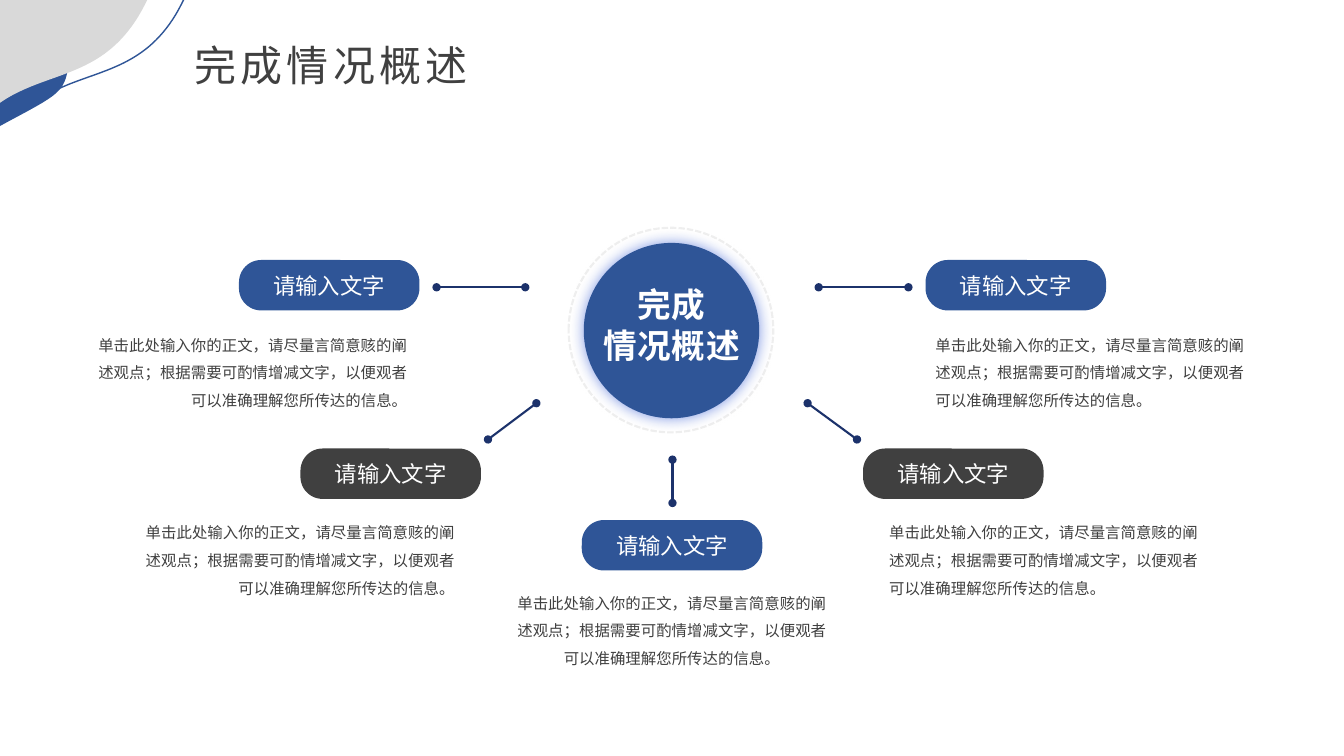
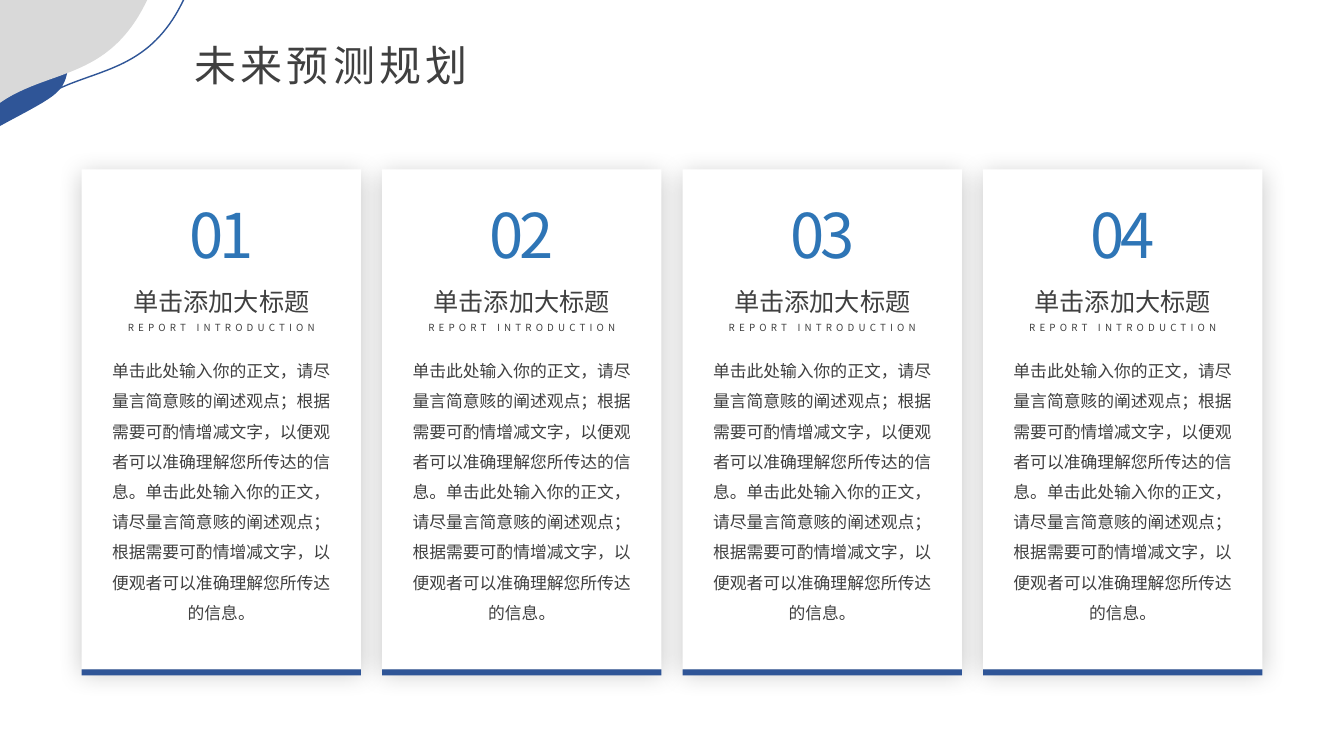
import lxml.etree
import pptx
import pptx.dml.color
import pptx.enum.dml
import pptx.enum.shapes
import pptx.enum.text
import pptx.util
from pptx.oxml.ns import qn

# Shared look
PX = 9144  # one px is a hundredth of an inch
FONT = "Noto Sans CJK SC"
BLUE, NAVY, SKY = "2F5597", "1C326B", "2E75B6"
INK, SILVER, WHITE = "404040", "D9D9D9", "FFFFFF"

SHAPE = pptx.enum.shapes.MSO_SHAPE
ALIGN = pptx.enum.text.PP_ALIGN
ANCHOR = pptx.enum.text.MSO_ANCHOR

# Wording
BODY = ("单击此处输入你的正文，请尽量言简意赅的阐述观点；"
        "根据需要可酌情增减文字，以便观者可以准确理解您所传达的信息。")
PROMPT = "请输入文字"

# Branches of the overview: pill corner, note corner, line ends, pill colour, note alignment
BRANCHES = [
    ((237, 258), (87, 319), (433, 285, 521, 285), BLUE, ALIGN.RIGHT),
    ((298, 445), (134, 505), (532, 400, 484, 436), INK, ALIGN.RIGHT),
    ((577, 516), (503, 575), (667, 456, 667, 499), BLUE, ALIGN.CENTER),
    ((856, 445), (872, 505), (801, 400, 850, 436), INK, ALIGN.LEFT),
    ((918, 258), (918, 319), (812, 285, 901, 285), BLUE, ALIGN.LEFT),
]


def px(*lengths):
    return [pptx.util.Emu(round(length * PX)) for length in lengths]


def rgb(hex_colour):
    return pptx.dml.color.RGBColor.from_string(hex_colour)


def add_xml(parent, tag, **attributes):
    return lxml.etree.SubElement(parent, qn(tag), attributes)


def paint(shape, fill=None, line=None, width=1):
    shape.shadow.inherit = False
    if fill:
        shape.fill.solid()
        shape.fill.fore_color.rgb = rgb(fill)
    else:
        shape.fill.background()
    if line:
        shape.line.color.rgb = rgb(line)
        shape.line.width = pptx.util.Pt(width)
    else:
        shape.line.fill.background()


def write(frame, lines, size, colour=INK, align=ALIGN.LEFT, bold=False,
          tracking=0, spacing=None):
    """Fill a text frame; tracking is in points, spacing in lines."""
    for number, text in enumerate(lines):
        paragraph = frame.add_paragraph() if number else frame.paragraphs[0]
        paragraph.alignment = align
        if spacing:
            paragraph.line_spacing = spacing
        run = paragraph.add_run()
        run.text = text
        run.font.size = pptx.util.Pt(size)
        run.font.bold = bold
        run.font.color.rgb = rgb(colour)
        run.font.name = FONT
        properties = run.font._element
        add_xml(properties, "a:ea", typeface=FONT)
        if tracking:
            properties.set("spc", str(round(tracking * 100)))


def add_text(shapes, box, lines, size, wrap=True, **style):
    frame = shapes.add_textbox(*px(*box)).text_frame
    frame.word_wrap = wrap
    frame.auto_size = pptx.enum.text.MSO_AUTO_SIZE.SHAPE_TO_FIT_TEXT
    write(frame, lines, size, **style)


def add_block(shapes, kind, box, fill=None, line=None, width=1):
    block = shapes.add_shape(kind, *px(*box))
    paint(block, fill, line, width)
    return block


def add_shadow(shape, colour, opacity, blur, distance=0, direction=0):
    effects = shape.element.spPr.find(qn("a:effectLst"))
    shadow = add_xml(effects, "a:outerShdw", blurRad=str(pptx.util.Pt(blur)),
                     dist=str(pptx.util.Pt(distance)), dir=str(direction * 60000),
                     algn="ctr", rotWithShape="0")
    tint = add_xml(shadow, "a:srgbClr", val=colour)
    add_xml(tint, "a:alpha", val=str(opacity * 1000))


def add_dotted_end_line(shapes, ends):
    link = shapes.add_connector(pptx.enum.shapes.MSO_CONNECTOR.STRAIGHT, *px(*ends))
    link.line.color.rgb = rgb(NAVY)
    link.line.width = pptx.util.Pt(1.5)
    outline = link.element.spPr.find(qn("a:ln"))
    for end in ("a:headEnd", "a:tailEnd"):
        add_xml(outline, end, type="oval")
    add_xml(link.element.spPr, "a:effectLst")


def add_wave(shapes, corner, curve, fill=None, line=None):
    """Corner area closed by one cubic curve, given by its four points."""
    steps = 40
    points = []
    for step in range(steps + 1):
        t = step / steps
        weights = ((1 - t) ** 3, 3 * t * (1 - t) ** 2, 3 * t * t * (1 - t), t ** 3)
        points.append(px(*(sum(w * p[axis] for w, p in zip(weights, curve))
                           for axis in (0, 1))))
    builder = shapes.build_freeform(*px(*corner))
    builder.add_line_segments(points, close=True)
    paint(builder.convert_to_shape(), fill, line)


def add_titled_slide(deck, title):
    slide = deck.slides.add_slide(deck.slide_layouts[5])
    # Corner waves
    add_wave(slide.shapes, (37, -2), [(37, 100), (86, 66), (146, 78), (183, -2)], line=BLUE)
    add_wave(slide.shapes, (0, 0), [(0, 125), (85, 79), (58, 99), (78, 0)], fill=BLUE)
    add_wave(slide.shapes, (0, 0), [(0, 102), (49, 68), (108, 80), (146, 0)], fill=SILVER)
    # Title
    heading = slide.shapes.title
    heading.left, heading.top, heading.width, heading.height = px(183, 34, 343, 61)
    frame = heading.text_frame
    frame.vertical_anchor = ANCHOR.TOP
    frame.auto_size = pptx.enum.text.MSO_AUTO_SIZE.SHAPE_TO_FIT_TEXT
    write(frame, [title], 30, tracking=3)
    return slide


def add_hub(shapes):
    ring = add_block(shapes, SHAPE.OVAL, (564, 226, 203, 203), line=SILVER, width=1.5)
    ring.line.dash_style = pptx.enum.dml.MSO_LINE.SQUARE_DOT
    ring_colour = ring.element.spPr.find(qn("a:ln")).find(".//" + qn("a:srgbClr"))
    add_xml(ring_colour, "a:alpha", val="42000")
    disc = add_block(shapes, SHAPE.OVAL, (579, 241, 174, 174), fill=BLUE)
    add_shadow(disc, "113ECC", 50, blur=10)
    add_text(shapes, (587, 277, 158, 91), ["完成", "情况概述"], 24, wrap=False,
             colour=WHITE, align=ALIGN.CENTER, bold=True, tracking=0.5)


def add_branch(shapes, pill_corner, note_corner, ends, colour, align):
    add_dotted_end_line(shapes, ends)
    pill = add_block(shapes, SHAPE.ROUNDED_RECTANGLE, (*pill_corner, 179, 50), fill=colour)
    pill.adjustments[0] = 0.44
    pill.text_frame.vertical_anchor = ANCHOR.MIDDLE
    write(pill.text_frame, [PROMPT], 16, colour=WHITE, align=ALIGN.CENTER)
    add_text(shapes, (*note_corner, 327, 91), [BODY], 11, align=align, spacing=1.5)


def add_card(shapes, left, number):
    width = 277
    panel = add_block(shapes, SHAPE.RECTANGLE, (left, 168, width, 496), fill=WHITE)
    add_shadow(panel, "000000", 22, blur=18, distance=3, direction=90)
    add_block(shapes, SHAPE.RECTANGLE, (left, 664, width, 6), fill=BLUE)

    def add_centred(top, text_width, height, text, size, **style):
        box = (left + (width - text_width) / 2, top, text_width, height)
        add_text(shapes, box, [text], size, align=ALIGN.CENTER, **style)

    add_centred(190, 168, 84, f"{number:02d}", 44, colour=SKY, tracking=-3)
    add_centred(279, 271, 40, "单击添加大标题", 18)
    add_centred(314, 300, 22, "REPORT INTRODUCTION", 7, tracking=3)
    add_centred(343, 237, 280, BODY * 2, 12, spacing=1.5)


def main():
    deck = pptx.Presentation()
    deck.slide_width, deck.slide_height = px(1333, 750)

    # Overview: hub with five branches
    overview = add_titled_slide(deck, "完成情况概述")
    add_hub(overview.shapes.add_group_shape().shapes)
    for branch in BRANCHES:
        add_branch(overview.shapes, *branch)

    # Plan: four equal cards
    plan = add_titled_slide(deck, "未来预测规划")
    for index in range(4):
        add_card(plan.shapes.add_group_shape().shapes, 81 + 298 * index, index + 1)

    deck.save("out.pptx")


if __name__ == "__main__":
    main()
